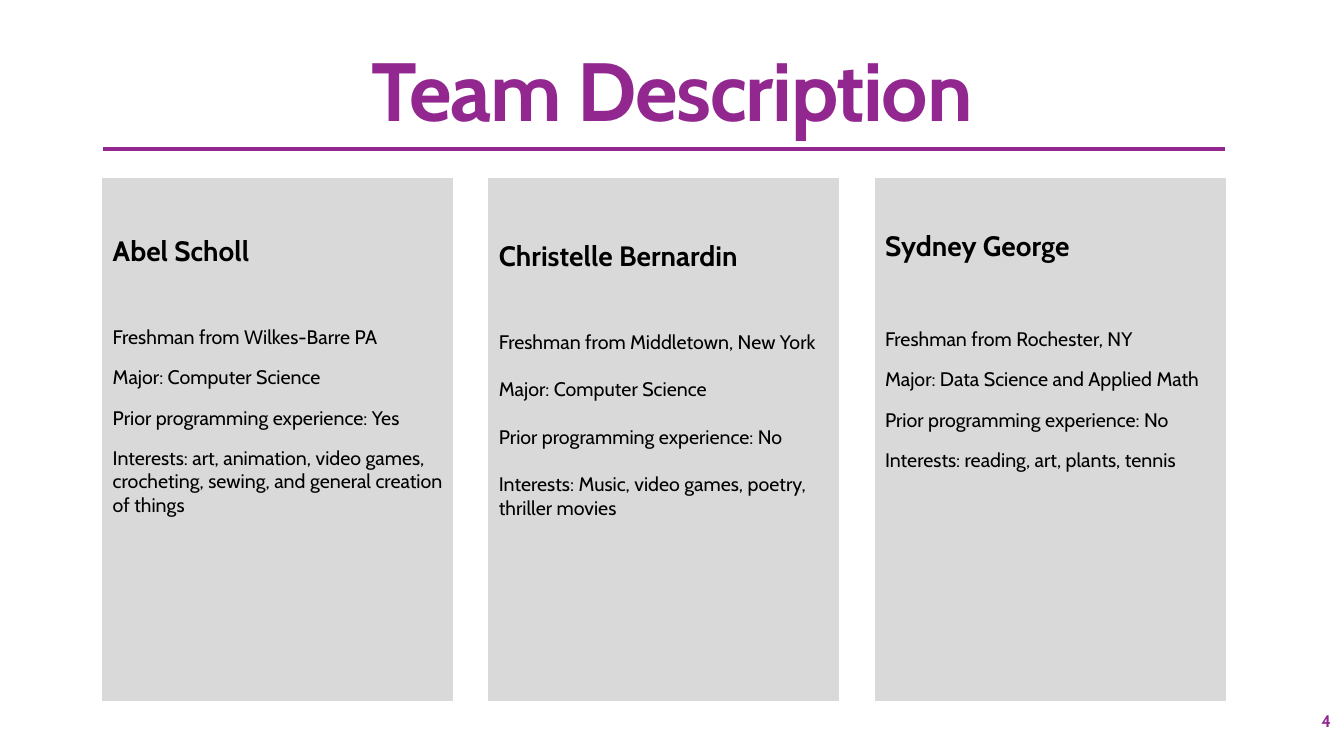
from pptx import Presentation
from pptx.dml.color import RGBColor
from pptx.enum.shapes import MSO_CONNECTOR, MSO_SHAPE
from pptx.enum.text import MSO_ANCHOR, PP_ALIGN
from pptx.oxml.ns import qn
from pptx.util import Inches, Pt
from lxml.etree import SubElement

PURPLE = RGBColor(0x92, 0x27, 0x8F)
GRAY = RGBColor(0xD9, 0xD9, 0xD9)
BLACK = RGBColor(0, 0, 0)
FONT = "Cabin"

SLIDE_WIDTH, SLIDE_HEIGHT = 13.33, 7.5
MARGIN, CARD_WIDTH, CARD_GAP = 1.02, 3.47, 0.36
CARD_TOP, CARD_HEIGHT = 1.77, 5.18
RULE_TOP = 1.48
CONTENT_WIDTH = 3 * CARD_WIDTH + 2 * CARD_GAP

# name, facts, top inset in inches, points after the name, points between facts
TEAM = [
    ("Abel Scholl",
     ["Freshman from Wilkes-Barre PA",
      "Major: Computer Science",
      "Prior programming experience: Yes",
      "Interests: art, animation, video games, crocheting, sewing, "
      "and general creation of things"],
     0.55, 41, 12),
    ("Christelle Bernardin",
     ["Freshman from Middletown, New York",
      "Major: Computer Science",
      "Prior programming experience: No",
      "Interests: Music, video games, poetry, thriller movies"],
     0.6, 41, 17),
    ("Sydney George",
     ["Freshman from Rochester, NY",
      "Major: Data Science and Applied Math",
      "Prior programming experience: No",
      "Interests: reading, art, plants, tennis"],
     0.5, 46, 12),
]


def format_paragraph(paragraph, size, color, bold, alignment):
    paragraph.alignment = alignment
    for run in paragraph.runs:
        run.font.name = FONT
        run.font.size = Pt(size)
        run.font.bold = bold
        run.font.color.rgb = color


def add_label(slide, text, box, size, alignment, anchor):
    shape = slide.shapes.add_textbox(*map(Inches, box))
    text_frame = shape.text_frame
    text_frame.word_wrap = True
    text_frame.vertical_anchor = anchor
    text_frame.text = text
    format_paragraph(text_frame.paragraphs[0], size, PURPLE, True, alignment)
    return shape


def add_title(slide, text):
    shape = add_label(slide, text, (2.16, 0.34, 9.01, 1.09), 59,
                      PP_ALIGN.CENTER, MSO_ANCHOR.TOP)
    run = shape.text_frame.paragraphs[0].runs[0]
    run.font._element.set("spc", "-100")


def add_rule(slide):
    rule = slide.shapes.add_connector(
        MSO_CONNECTOR.STRAIGHT, Inches(MARGIN), Inches(RULE_TOP),
        Inches(MARGIN + CONTENT_WIDTH), Inches(RULE_TOP))
    rule.line.color.rgb = PURPLE
    rule.line.width = Pt(3)
    SubElement(rule._element.spPr, qn("a:effectLst"))


def add_card(slide, column, name, facts, top_inset, name_gap, fact_gap):
    left = MARGIN + column * (CARD_WIDTH + CARD_GAP)
    card = slide.shapes.add_shape(
        MSO_SHAPE.RECTANGLE, Inches(left), Inches(CARD_TOP),
        Inches(CARD_WIDTH), Inches(CARD_HEIGHT))
    card.shadow.inherit = False
    card.fill.solid()
    card.fill.fore_color.rgb = GRAY
    card.line.color.rgb = GRAY
    card.line.width = Pt(0.85)
    text_frame = card.text_frame
    text_frame.word_wrap = True
    text_frame.vertical_anchor = MSO_ANCHOR.TOP
    text_frame.margin_top = Inches(top_inset)
    text_frame.text = "\n".join([name, *facts])
    heading, *details = text_frame.paragraphs
    format_paragraph(heading, 20, BLACK, True, PP_ALIGN.LEFT)
    for index, paragraph in enumerate(details):
        format_paragraph(paragraph, 14, BLACK, False, PP_ALIGN.LEFT)
        paragraph.space_before = Pt(fact_gap if index else name_gap)


def main():
    presentation = Presentation()
    presentation.slide_width = Inches(SLIDE_WIDTH)
    presentation.slide_height = Inches(SLIDE_HEIGHT)
    slide = presentation.slides.add_slide(presentation.slide_layouts[6])
    add_label(slide, "4", (11.63, 6.95, 1.67, 0.4), 12,
              PP_ALIGN.RIGHT, MSO_ANCHOR.MIDDLE)
    add_title(slide, "Team Description")
    add_rule(slide)
    for column, member in enumerate(TEAM):
        add_card(slide, column, *member)
    presentation.save("out.pptx")


main()
